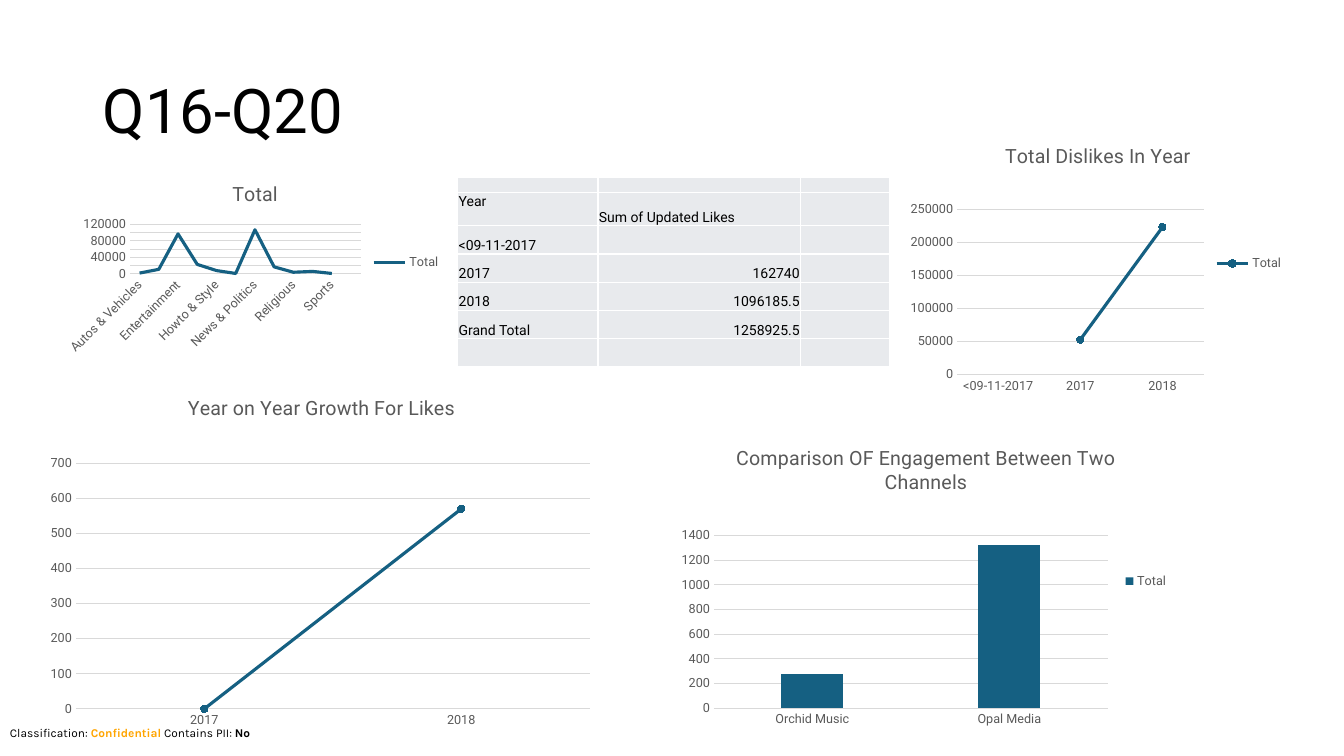
import pptx
import pptx.chart.data
import pptx.dml.color
import pptx.enum.chart
import pptx.enum.text
import pptx.oxml
import pptx.oxml.ns
import pptx.util

RGBColor = pptx.dml.color.RGBColor
BLACK = RGBColor(0x00, 0x00, 0x00)
WHITE = RGBColor(0xFF, 0xFF, 0xFF)
ORANGE = RGBColor(0xFF, 0xA5, 0x00)
BLUE = RGBColor(0x15, 0x60, 0x82)
GRAY = RGBColor(0x59, 0x59, 0x59)
GRID = RGBColor(0xD9, 0xD9, 0xD9)
PALE = RGBColor(0xE8, 0xEA, 0xED)

Pt = pptx.util.Pt
Type = pptx.enum.chart.XL_CHART_TYPE
Anchor = pptx.enum.text.MSO_ANCHOR
Align = pptx.enum.text.PP_ALIGN


class Deck:
    """Style and current slide; boxes are (left, top, width, height) in percent of the slide."""

    def __init__(self, font, width, height):
        self.font = font
        self.prs = pptx.Presentation()
        self.prs.slide_width = pptx.util.Inches(width)
        self.prs.slide_height = pptx.util.Inches(height)
        self.s = self.prs.slides.add_slide(self.prs.slide_layouts[5])

    def x(self, share):
        return round(self.prs.slide_width * share / 100)

    def y(self, share):
        return round(self.prs.slide_height * share / 100)

    def box(self, left, top, width, height):
        return self.x(left), self.y(top), self.x(width), self.y(height)

    def style(self, font, size, color, name=None, bold=False):
        font.name, font.size, font.bold = name or self.font, Pt(size), bold
        font.color.rgb = color

    def title(self, text, box):
        sp = self.s.shapes.title
        sp.left, sp.top, sp.width, sp.height = self.box(*box)
        tf = sp.text_frame
        tf.text = text
        tf.vertical_anchor = Anchor.MIDDLE
        p = tf.paragraphs[0]
        p.alignment, p.line_spacing = Align.LEFT, 0.9
        self.style(p.runs[0].font, 44, BLACK)

    def footer(self, parts, box):
        tf = self.s.shapes.add_textbox(*self.box(*box)).text_frame
        tf.word_wrap = True
        for text, color, bold in parts:
            r = tf.paragraphs[0].add_run()
            r.text = text
            self.style(r.font, 8.5, color, "Karla", bold)

    def border(self, cell):
        tcPr = cell._tc.get_or_add_tcPr()
        ns = pptx.oxml.ns.nsdecls("a")
        for i, side in enumerate(("lnL", "lnR", "lnT", "lnB")):
            tcPr.insert(i, pptx.oxml.parse_xml(
                f'<a:{side} {ns} w="12700"><a:solidFill><a:srgbClr val="{WHITE}"/>'
                f'</a:solidFill></a:{side}>'))

    def table(self, rows, left, top, widths, heights):
        box = self.box(left, top, sum(widths), sum(heights))
        table = self.s.shapes.add_table(len(rows), len(widths), *box).table
        for col, width in zip(table.columns, widths):
            col.width = self.x(width)
        for i, (row, height) in enumerate(zip(rows, heights)):
            table.rows[i].height = self.y(height)
            for j, text in enumerate(row):
                cell = table.cell(i, j)
                cell.fill.solid()
                cell.fill.fore_color.rgb = PALE
                self.border(cell)
                cell.margin_left = cell.margin_right = cell.margin_top = Pt(0.7)
                cell.margin_bottom = 0
                cell.vertical_anchor = Anchor.TOP if text == "Year" else Anchor.BOTTOM
                p = cell.text_frame.paragraphs[0]
                if text:
                    p.text = text
                    self.style(p.runs[0].font, 10, BLACK)
                    if j and text[0].isdigit():
                        p.alignment = Align.RIGHT
                else:
                    p._p.get_or_add_endParaRPr().set("sz", "800")

    def plot_box(self, chart, shares):
        area = chart._chartSpace.chart.plotArea
        for old in area.findall(pptx.oxml.ns.qn("c:layout")):
            area.remove(old)
        places = "".join(f'<c:{k} val="{v}"/>' for k, v in zip("xywh", shares))
        area.insert(0, pptx.oxml.parse_xml(
            f'<c:layout {pptx.oxml.ns.nsdecls("c")}><c:manualLayout>'
            '<c:layoutTarget val="inner"/><c:xMode val="edge"/><c:yMode val="edge"/>'
            f'{places}</c:manualLayout></c:layout>'))

    def chart(self, kind, title, name, values, box, plot, top, step, legend=True, slant=False):
        data = pptx.chart.data.CategoryChartData()
        data.categories = list(values)
        data.add_series(name, list(values.values()))
        chart = self.s.shapes.add_chart(kind, *self.box(*box), data).chart
        self.style(chart.font, 10, BLACK)
        chart.has_title = True
        tf = chart.chart_title.text_frame
        tf.text = title
        self.style(tf.paragraphs[0].runs[0].font, 14, GRAY)
        chart.has_legend = legend
        if legend:
            chart.legend.position = pptx.enum.chart.XL_LEGEND_POSITION.RIGHT
            chart.legend.include_in_layout = False
            self.style(chart.legend.font, 9, GRAY)
        cat, val = chart.category_axis, chart.value_axis
        for axis in (cat, val):
            axis.major_tick_mark = axis.minor_tick_mark = pptx.enum.chart.XL_TICK_MARK.NONE
            self.style(axis.tick_labels.font, 9, GRAY)
        cat.has_major_gridlines = False
        for line in (cat.format.line, val.major_gridlines.format.line):
            line.color.rgb, line.width = GRID, Pt(0.75)
        val.format.line.fill.background()
        val.minimum_scale, val.maximum_scale, val.major_unit = 0, top, step
        if slant:
            cat._element.txPr.bodyPr.set("rot", "-2700000")
        self.plot_box(chart, plot)
        self.series(chart.plots[0], kind)

    def series(self, plot, kind):
        plot.vary_by_categories = False
        ser = plot.series[0]
        if kind == Type.COLUMN_CLUSTERED:
            plot.gap_width, plot.overlap = 219, -27
            ser.format.fill.solid()
            ser.format.fill.fore_color.rgb = BLUE
            return
        ser.smooth = False
        ser.format.line.color.rgb, ser.format.line.width = BLUE, Pt(2.25)
        if kind == Type.LINE_MARKERS:
            ser.marker.style = pptx.enum.chart.XL_MARKER_STYLE.CIRCLE
            ser.marker.size = 5
            ser.marker.format.fill.solid()
            ser.marker.format.fill.fore_color.rgb = BLUE
            ser.marker.format.line.color.rgb = BLUE


def main():
    deck = Deck("Roboto", 13.33, 7.5)
    deck.footer([("Classification: ", BLACK, False), ("Confidential", ORANGE, True),
                 (" Contains PII: ", BLACK, False), ("No", BLACK, True)],
                (0, 95.33, 100, 3.2))
    deck.title("Q16-Q20", (6.9, 5.33, 86.27, 19.33))
    deck.table([("", "", ""), ("Year", "Sum of Updated Likes", ""), ("<09-11-2017", "", ""),
                ("2017", "162740", ""), ("2018", "1096185.5", ""),
                ("Grand Total", "1258925.5", ""), ("", "", "")],
               34.06, 23.47, (10.43, 15.08, 6.6), [2, 4.4] + [3.73] * 5)
    deck.chart(Type.LINE_MARKERS, "Year on Year Growth For Likes", "Series 1",
               {"2017": 0, "2018": 570}, (3.15, 50, 41.56, 47.07),
               (0.06, 0.24, 0.92, 0.69), 700, 100, legend=False)
    deck.chart(Type.COLUMN_CLUSTERED, "Comparison OF Engagement Between Two Channels", "Total",
               {"Orchid Music": 280, "Opal Media": 1320}, (50.11, 56.8, 37.58, 40.13),
               (0.08, 0.35, 0.78, 0.57), 1400, 200)
    deck.chart(Type.LINE_MARKERS, "Total Dislikes In Year", "Total",
               {"<09-11-2017": None, "2017": 53000, "2018": 223000},
               (67.14, 16.93, 29.11, 35.87), (0.14, 0.3, 0.63, 0.61), 250000, 50000)
    deck.chart(Type.LINE, "Total", "Total",
               {"Autos & Vehicles": 2000, "Education": 11000, "Entertainment": 97000,
                "Film & Animation": 23000, "Howto & Style": 8000, "Music": 1000,
                "News & Politics": 107000, "People & Blogs": 17000, "Religious": 4000,
                "Science & Technology": 6000, "Sports": 1000, "(blank)": None},
               (4.43, 22.13, 29.11, 25.2), (0.18, 0.3, 0.59, 0.26), 120000, 20000, slant=True)
    deck.prs.save("out.pptx")


if __name__ == "__main__":
    main()
